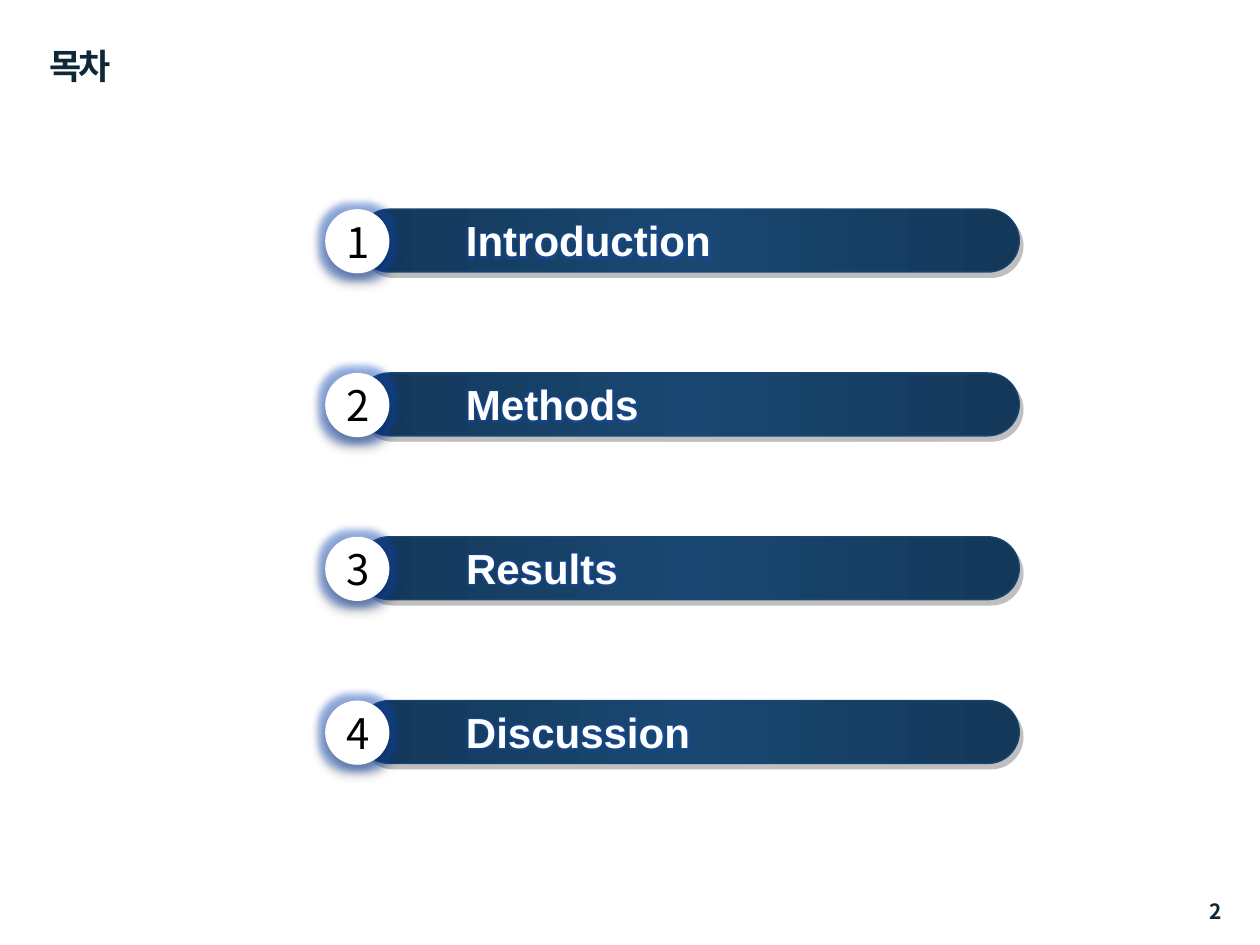
import copy
import pptx
import pptx.util
import pptx.dml.color
import pptx.enum.shapes
import pptx.enum.text
import pptx.oxml
import pptx.oxml.ns

Pt = pptx.util.Pt
Align = pptx.enum.text.PP_ALIGN
Shape = pptx.enum.shapes.MSO_SHAPE
qn = pptx.oxml.ns.qn


def color(value):
    return pptx.dml.color.RGBColor.from_string(value)


class Agenda:
    cjk = "Noto Sans CJK KR"
    latin = "Arial"
    ink = "0F2837"
    edge = "143859"
    middle = "194771"
    glow = '<a:glow rad="{}"><a:srgbClr val="1450C8"><a:alpha val="40000"/></a:srgbClr></a:glow>'

    def __init__(self, deck):
        self.page = deck.slides.add_slide(deck.slide_layouts[5])
        self.page.background.fill.solid()
        self.page.background.fill.fore_color.rgb = color("FFFFFF")

    def effects(self, content):
        return pptx.oxml.parse_xml(
            f'<a:effectLst {pptx.oxml.ns.nsdecls("a")}>{content}</a:effectLst>')

    def shadow(self, value, alpha, blur, distance, angle):
        return (f'<a:outerShdw blurRad="{Pt(blur)}" dist="{Pt(distance)}" '
                f'dir="{angle * 60000}" algn="ctr" rotWithShape="0">'
                f'<a:srgbClr val="{value}"><a:alpha val="{alpha * 1000}"/></a:srgbClr>'
                '</a:outerShdw>')

    def add_text(self, box, text, size, font, ink, bold=False, align=Align.LEFT):
        frame = box.text_frame
        frame.word_wrap = True
        frame.vertical_anchor = pptx.enum.text.MSO_ANCHOR.MIDDLE
        para = frame.paragraphs[0]
        para.alignment = align
        span = para.add_run()
        span.text = text
        span.font.size = Pt(size)
        span.font.bold = bold
        span.font.name = font
        span.font.color.rgb = color(ink)
        east = pptx.oxml.parse_xml(
            f'<a:ea {pptx.oxml.ns.nsdecls("a")} typeface="{font}"/>')
        span.font._element.find(qn("a:latin")).addnext(east)
        return span

    def title(self, text, left, top, width, height):
        box = self.page.shapes.title
        box.left, box.top, box.width, box.height = map(Pt, (left, top, width, height))
        span = self.add_text(box, text, 20, self.cjk, self.ink, True)
        box.text_frame.auto_size = pptx.enum.text.MSO_AUTO_SIZE.SHAPE_TO_FIT_TEXT
        span.font._element.set("spc", "-150")

    def number(self, text, left, top, width, height):
        box = self.page.shapes.add_textbox(*map(Pt, (left, top, width, height)))
        self.add_text(box, text, 12, self.cjk, self.ink, True, Align.RIGHT)

    def bar(self, group, left, top, width, height):
        box = group.shapes.add_shape(
            Shape.ROUNDED_RECTANGLE, *map(Pt, (left, top, width, height)))
        box.adjustments[0] = 0.5
        box.fill.gradient()
        box.fill.gradient_angle = 0
        first = box.fill.gradient_stops[0]._gs
        first.addnext(copy.deepcopy(first))
        stops = zip(box.fill.gradient_stops, (0, 0.5, 1),
                    (self.edge, self.middle, self.edge))
        for stop, position, value in stops:
            stop.position = position
            stop.color.rgb = color(value)
        box.line.color.rgb = color(self.middle)
        box.line.width = Pt(0.75)
        box._element.spPr.append(self.effects(self.shadow("808080", 50, 0, 3.6, 56)))

    def label(self, group, text, left, top, width, height):
        box = group.shapes.add_textbox(*map(Pt, (left, top, width, height)))
        span = self.add_text(box, text, 24, self.latin, "FFFFFF", True)
        span.font._element.find(qn("a:solidFill")).addnext(
            self.effects(self.glow.format(Pt(4))))

    def badge(self, group, text, left, top, size):
        box = group.shapes.add_shape(Shape.OVAL, *map(Pt, (left, top, size, size)))
        box.fill.solid()
        box.fill.fore_color.rgb = color("FFFFFF")
        box.line.fill.background()
        box._element.spPr.append(self.effects(
            self.glow.format(Pt(8)) + self.shadow("000000", 40, 4, 3, 90)))
        self.add_text(box, text, 24, self.cjk, "000000", align=Align.CENTER)

    def entry(self, index, text, width):
        top = 119.5 + 93.6 * index
        group = self.page.shapes.add_group_shape()
        self.bar(group, 204.5, top, 378, 36)
        self.label(group, text, 259.2, top + 2.2, width, 31)
        self.badge(group, str(index + 1), 185.8, top, 36.7)


deck = pptx.Presentation()
deck.slide_width, deck.slide_height = Pt(720), Pt(540)
agenda = Agenda(deck)
agenda.number("2", 641.5, 504.7, 64, 31.7)
agenda.title("목차", 20.9, 21.6, 472.3, 31.7)
entries = (("Introduction", 268.6), ("Methods", 309.6),
           ("Results", 298), ("Discussion", 268.6))
for index, (text, width) in enumerate(entries):
    agenda.entry(index, text, width)
deck.save("out.pptx")
